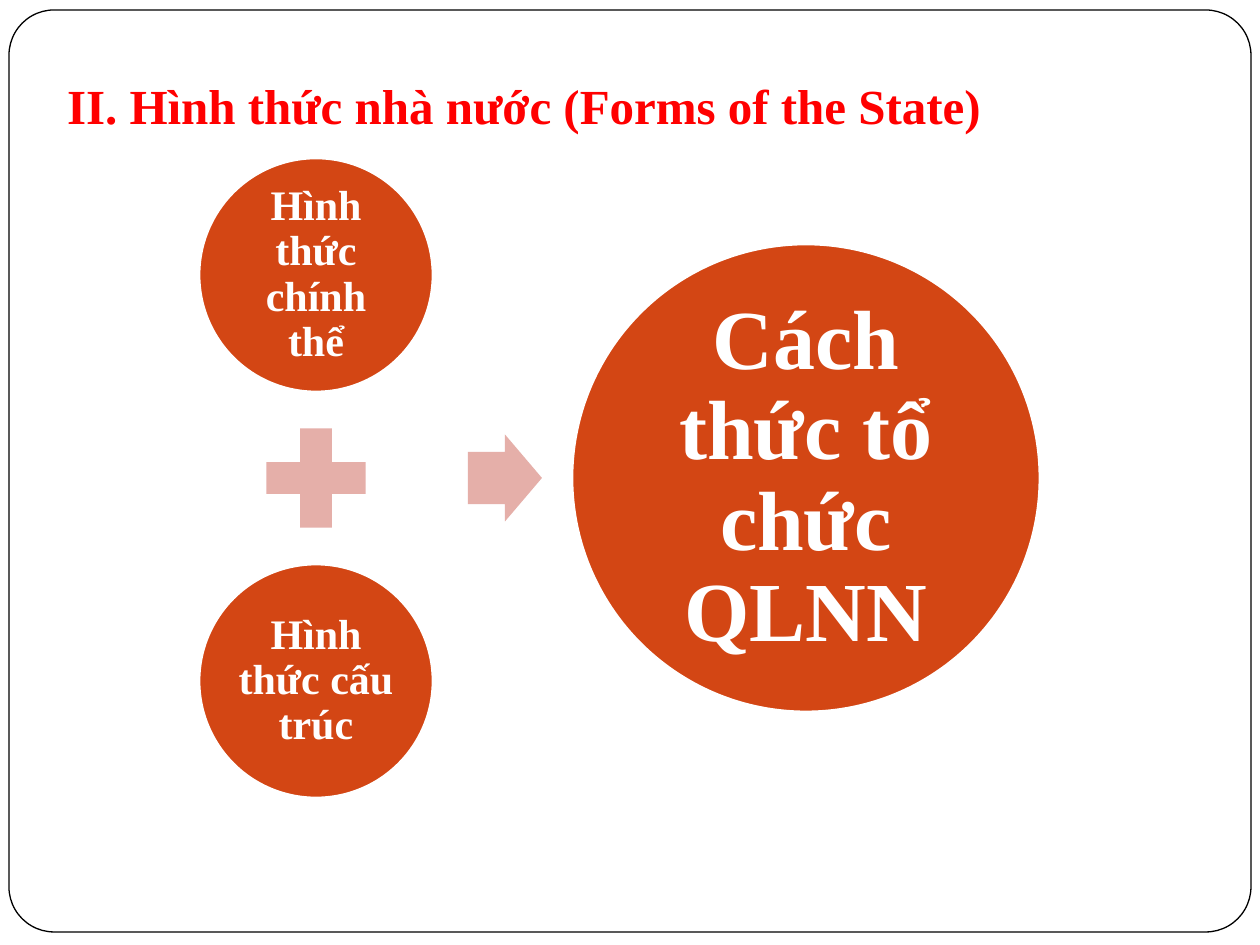
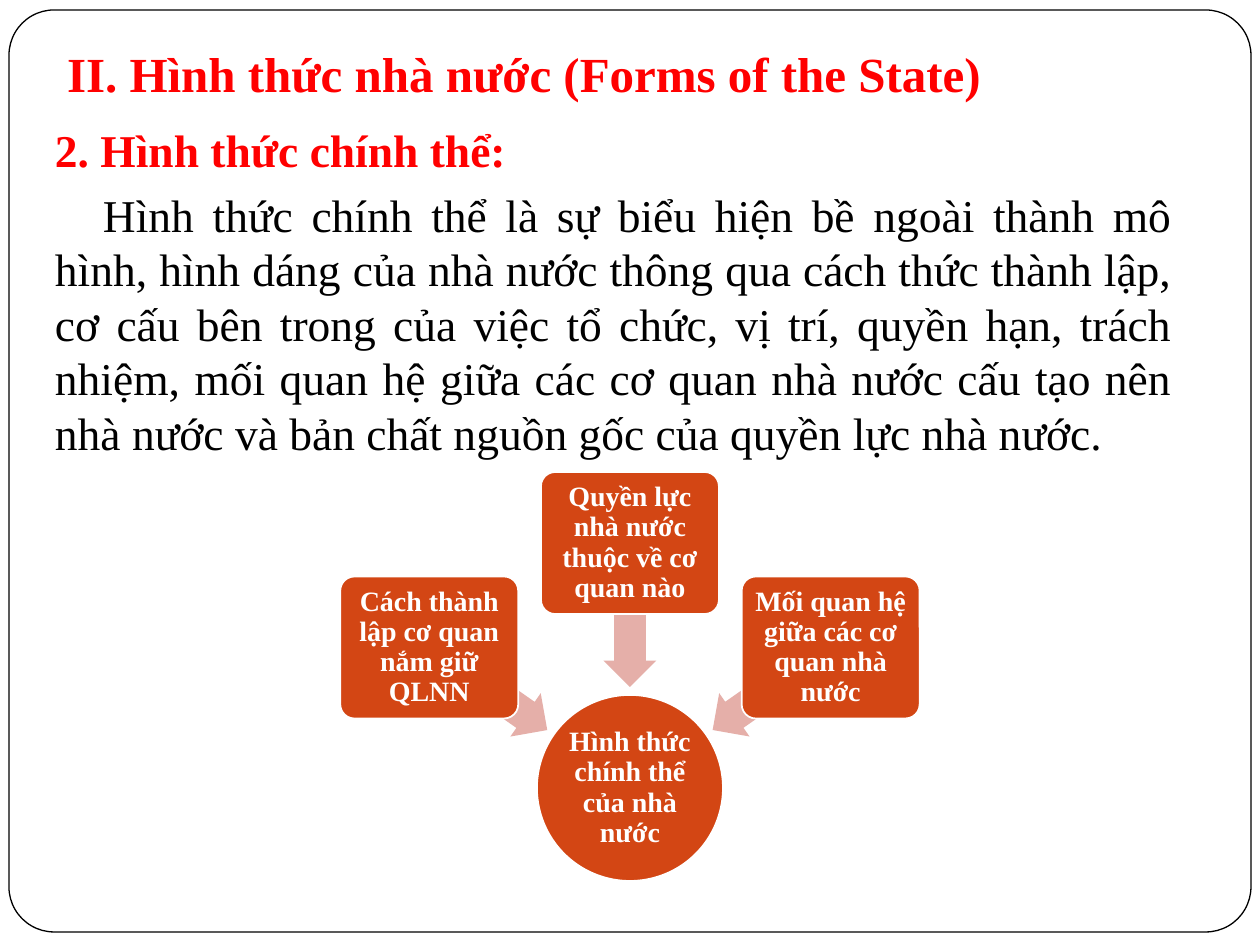
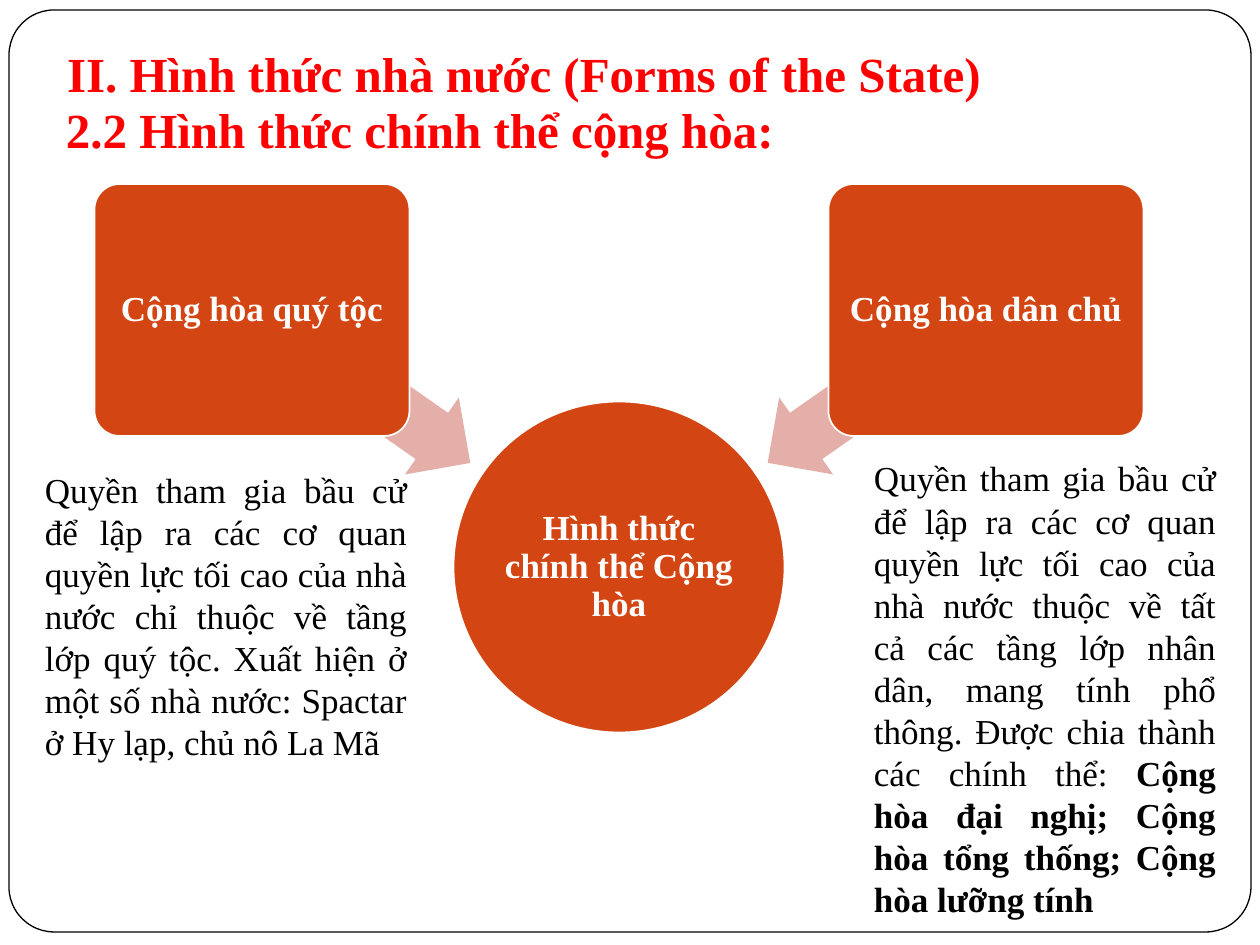
from math import cos, radians, sin

from pptx import Presentation
from pptx.dml.color import RGBColor
from pptx.enum.shapes import MSO_SHAPE
from pptx.enum.text import MSO_ANCHOR, MSO_AUTO_SIZE, PP_ALIGN
from pptx.util import Emu, Pt

# Shared style
FONT = "Times New Roman"
WHITE, BLACK, RED, ORANGE, PINK = "FFFFFF", "000000", "FF0000", "D34614", "E5AFA9"
PAGE_WIDTH, PAGE_HEIGHT = 1260, 945

# Content
TITLE = "II. Hình thức nhà nước (Forms of the State)"

FORMS = ["Hình thức chính thể", "Hình thức cấu trúc"]
FORMS_RESULT = "Cách thức tổ chức QLNN"

GOVERNMENT_HEADING = "2. Hình thức chính thể:"
GOVERNMENT_DEFINITION = (
    "Hình thức chính thể là sự biểu hiện bề ngoài thành mô hình, hình dáng của "
    "nhà nước thông qua cách thức thành lập, cơ cấu bên trong của việc tổ chức, "
    "vị trí, quyền hạn, trách nhiệm, mối quan hệ giữa các cơ quan nhà nước cấu "
    "tạo nên nhà nước và bản chất nguồn gốc của quyền lực nhà nước."
)
GOVERNMENT_HUB = "Hình thức chính thể của nhà nước"
GOVERNMENT_FACTORS = [
    (215, "Cách thành lập cơ quan nắm giữ QLNN"),
    (270, "Quyền lực nhà nước thuộc về cơ quan nào"),
    (325, "Mối quan hệ giữa các cơ quan nhà nước"),
]

REPUBLIC_HEADING = "2.2 Hình thức chính thể cộng hòa:"
REPUBLIC_HUB = "Hình thức chính thể Cộng hòa"
REPUBLIC_KINDS = [(215, "Cộng hòa quý tộc"), (325, "Cộng hòa dân chủ")]
ARISTOCRATIC_NOTE = (
    "Quyền tham gia bầu cử để lập ra các cơ quan quyền lực tối cao của nhà nước "
    "chỉ thuộc về tầng lớp quý tộc. Xuất hiện ở một số nhà nước: Spactar ở Hy "
    "lạp, chủ nô La Mã"
)
DEMOCRATIC_NOTE = (
    "Quyền tham gia bầu cử để lập ra các cơ quan quyền lực tối cao của nhà nước "
    "thuộc về tất cả các tầng lớp nhân dân, mang tính phổ thông. Được chia thành "
    "các chính thể: "
)
DEMOCRATIC_TYPES = "Cộng hòa đại nghị; Cộng hòa tổng thống; Cộng hòa lưỡng tính"


# Helpers
def px(length):
    return Emu(round(length * 914400 / 126))


def color(hex_string):
    return RGBColor.from_string(hex_string)


def add_span(para, text, size, hex_string, bold=False):
    span = para.add_run()
    span.text = text
    font = span.font
    font.name, font.size, font.bold = FONT, Pt(size), bold
    font.color.rgb = color(hex_string)


def set_margins(frame, left, top, right, bottom):
    frame.margin_left, frame.margin_top = px(left), px(top)
    frame.margin_right, frame.margin_bottom = px(right), px(bottom)


def add_centred(page, kind, centre, size, fill, line=None, line_width=1, adjust=()):
    (x, y), (width, height) = centre, size
    shape = page.shapes.add_shape(
        kind, px(x - width / 2), px(y - height / 2), px(width), px(height))
    shape.shadow.inherit = False
    shape.fill.solid()
    shape.fill.fore_color.rgb = color(fill)
    if line:
        shape.line.color.rgb = color(line)
        shape.line.width = Pt(line_width)
    else:
        shape.line.fill.background()
    for index, value in enumerate(adjust):
        shape.adjustments[index] = value
    return shape


def add_node(page, kind, centre, size, text, text_size, inset, adjust=()):
    node = add_centred(page, kind, centre, size, ORANGE, WHITE, adjust=adjust)
    frame = node.text_frame
    frame.word_wrap = True
    frame.vertical_anchor = MSO_ANCHOR.MIDDLE
    set_margins(frame, inset, inset, inset, inset)
    para = frame.paragraphs[0]
    para.alignment = PP_ALIGN.CENTER
    para.line_spacing = 0.9
    add_span(para, text, text_size, WHITE, True)


def add_text(page, left, top, width, height, paragraphs):
    """Each paragraph is a list of (text, size, colour, bold) spans."""
    box = page.shapes.add_textbox(px(left), px(top), px(width), px(height))
    frame = box.text_frame
    frame.word_wrap = True
    set_margins(frame, 13, 6, 13, 6)
    for index, spans in enumerate(paragraphs):
        para = frame.add_paragraph() if index else frame.paragraphs[0]
        para.alignment = PP_ALIGN.JUSTIFY
        if index:
            para.space_before = Pt(5.8)
            para._p.get_or_add_pPr().set("indent", str(px(48)))
        for span in spans:
            add_span(para, *span)


def add_radial(page, hub, hub_size, hub_text, spokes, box_size, box_distance,
               arrow_size, arrow_distance, text_size, inset):
    """Boxes around a hub, each with an arrow pointing to the hub."""
    def on_spoke(angle, distance):
        turn = radians(angle)
        return hub[0] + distance * cos(turn), hub[1] + distance * sin(turn)

    add_node(page, MSO_SHAPE.OVAL, hub, (hub_size, hub_size), hub_text, text_size, 1)
    for angle, text in spokes:
        arrow = add_centred(page, MSO_SHAPE.LEFT_ARROW, on_spoke(angle, arrow_distance),
                            arrow_size, PINK, adjust=(0.6, 0.5))
        arrow.rotation = angle
        add_node(page, MSO_SHAPE.ROUNDED_RECTANGLE, on_spoke(angle, box_distance),
                 box_size, text, text_size, inset, (0.1,))


def add_page(deck, layout, title_top):
    page = deck.slides.add_slide(layout)
    title = page.shapes.title
    title.left, title.top = px(42), px(title_top)
    title.width, title.height = px(1187), px(105)
    frame = title.text_frame
    frame.word_wrap = True
    frame.auto_size = MSO_AUTO_SIZE.NONE
    frame.vertical_anchor = MSO_ANCHOR.BOTTOM
    set_margins(frame, 25, 6, 13, 13)
    para = frame.paragraphs[0]
    para.alignment = PP_ALIGN.LEFT
    add_span(para, TITLE, 28, RED, True)
    return page


def move_frame_to_layout(page, layout):
    """The rounded border sits on the layout, behind every page."""
    border = add_centred(page, MSO_SHAPE.ROUNDED_RECTANGLE, (630, 471), (1242, 922),
                         WHITE, BLACK, 0.75, (0.049,))
    border.element.xpath(".//p:cNvPr")[0].set("id", "20")
    layout.shapes.element.insert(2, border.element)


# Pages
def build_forms(page):
    column_x, gap, circle, plus = 316, 19, 233, 135
    middle = 478
    step = plus / 2 + gap + circle / 2
    add_node(page, MSO_SHAPE.OVAL, (column_x, middle - step), (circle, circle),
             FORMS[0], 24, 4)
    add_centred(page, MSO_SHAPE.MATH_PLUS, (column_x, middle), (plus, plus), PINK,
                adjust=(0.235,))
    add_node(page, MSO_SHAPE.OVAL, (column_x, middle + step), (circle, circle),
             FORMS[1], 24, 4)
    add_centred(page, MSO_SHAPE.RIGHT_ARROW, (505, middle), (74, 87), PINK,
                adjust=(0.6, 0.5))
    add_node(page, MSO_SHAPE.OVAL, (806, middle), (467, 467), FORMS_RESULT, 48, 9)


def build_government(page):
    add_text(page, 42, 116, 1144, 399, [
        [(GOVERNMENT_HEADING, 26, RED, True)],
        [(GOVERNMENT_DEFINITION, 26, BLACK)],
    ])
    add_radial(page, (630, 788), 186, GOVERNMENT_HUB, GOVERNMENT_FACTORS,
               (178, 142), 245, (144, 53), 173, 16, 4)


def build_republic(page):
    add_radial(page, (619, 567), 331, REPUBLIC_HUB, REPUBLIC_KINDS,
               (315, 252), 448, (267, 94), 315, 20, 5)
    add_text(page, 32, 462, 388, 310, [[(ARISTOCRATIC_NOTE, 20, BLACK)]])
    add_text(page, 861, 451, 368, 479, [
        [(DEMOCRATIC_NOTE, 20, BLACK), (DEMOCRATIC_TYPES, 20, BLACK, True)],
    ])
    add_text(page, 53, 94, 1144, 73, [[(REPUBLIC_HEADING, 28, RED, True)]])


def main():
    deck = Presentation()
    deck.slide_width, deck.slide_height = px(PAGE_WIDTH), px(PAGE_HEIGHT)
    layout = deck.slide_layouts.get_by_name("Title Only")
    pages = [(42, build_forms), (10, build_government), (10, build_republic)]
    for index, (title_top, build) in enumerate(pages):
        page = add_page(deck, layout, title_top)
        if index == 0:
            move_frame_to_layout(page, layout)
        build(page)
    deck.save("out.pptx")


if __name__ == "__main__":
    main()
